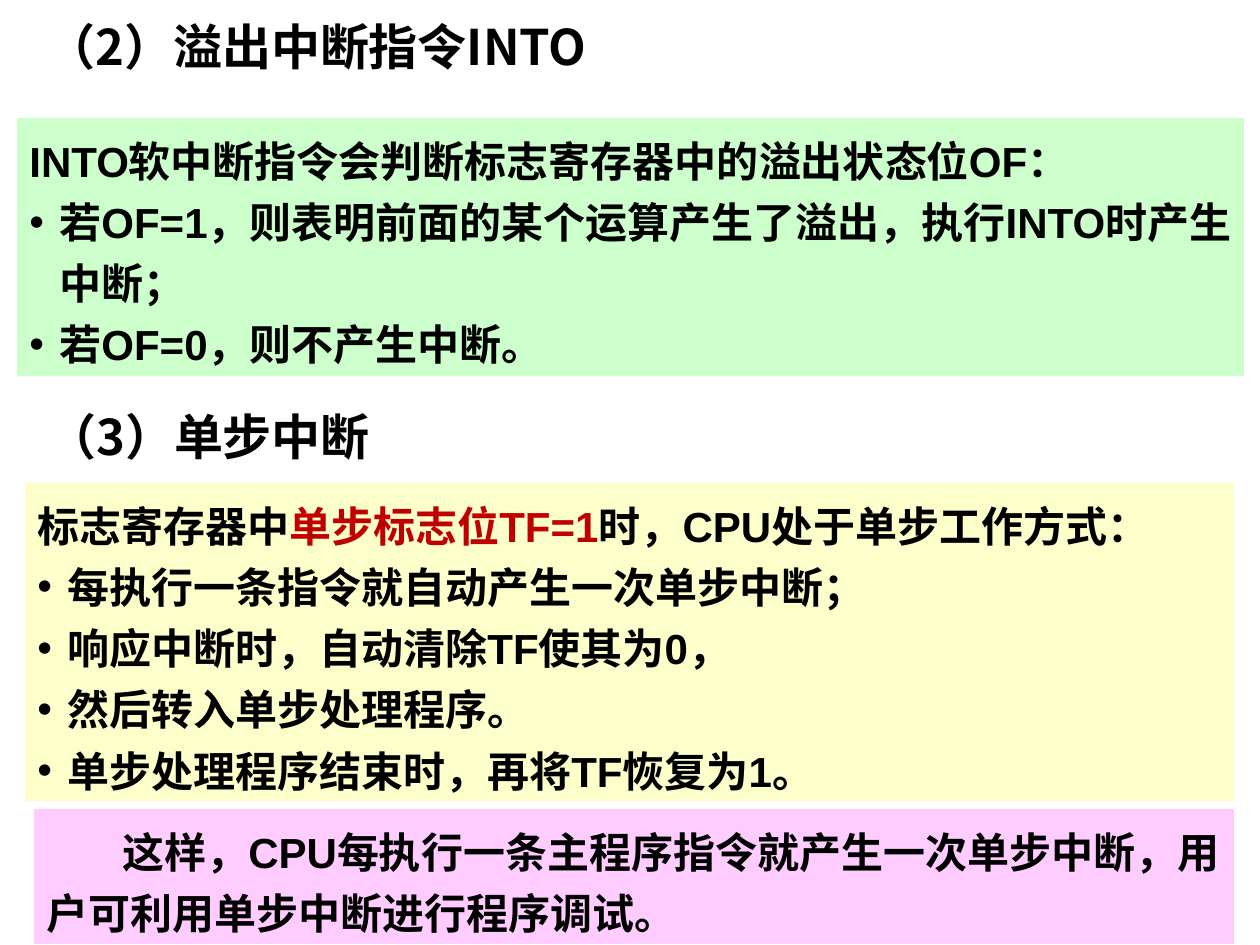
from lxml import etree
from pptx import Presentation
from pptx.dml.color import RGBColor
from pptx.enum.shapes import MSO_SHAPE
from pptx.enum.text import MSO_ANCHOR, MSO_AUTO_SIZE, PP_ALIGN
from pptx.oxml.ns import qn
from pptx.util import Emu, Pt

RECTANGLE = MSO_SHAPE.RECTANGLE
TOP = MSO_ANCHOR.TOP
NO_AUTOFIT = MSO_AUTO_SIZE.NONE
LEFT = PP_ALIGN.LEFT

EMU_PER_PX = 914400 / 126
COLORS = {
    "text": "000000",
    "accent": "C00000",
    "green": "CCFFCC",
    "yellow": "FDFFCB",
    "pink": "FFCCFF",
}
CJK_FONT = "Noto Sans CJK SC"
BODY_FONT = "Arial"
BULLET_INDENT = 30
FIRST_LINE_INDENT = 76


def px(length):
    return Emu(round(length * EMU_PER_PX))


def rgb(name):
    return RGBColor.from_string(COLORS[name])


class SlideBuilder:
    """Holds the text style and the slide being filled."""

    heading_size = Pt(28)
    body_size = Pt(24)
    line_pitch = Pt(35)

    def __init__(self, slide):
        self.slide = slide

    def prepare(self, box, wrap):
        frame = box.text_frame
        frame.word_wrap = wrap
        frame.auto_size = NO_AUTOFIT
        frame.vertical_anchor = TOP
        return frame

    def add_span(self, para, text, size, font, color="text"):
        span = para.add_run()
        span.text = text
        span.font.size = size
        span.font.bold = True
        span.font.name = font
        span.font.color.rgb = rgb(color)
        east_asian = etree.SubElement(span.font._element, qn("a:ea"))
        east_asian.set("typeface", CJK_FONT)

    def indent(self, para, margin, first_line):
        properties = para._p.get_or_add_pPr()
        properties.set("marL", str(px(margin)))
        properties.set("indent", str(px(first_line)))
        return properties

    def add_bullet(self, para):
        properties = self.indent(para, BULLET_INDENT, -BULLET_INDENT)
        etree.SubElement(properties, qn("a:buFont")).set("typeface", BODY_FONT)
        etree.SubElement(properties, qn("a:buChar")).set("char", "•")

    def write_heading(self, box, text):
        para = self.prepare(box, wrap=False).paragraphs[0]
        para.alignment = LEFT
        self.add_span(para, text, self.heading_size, CJK_FONT)

    def title(self, text, left, top, width, height):
        box = self.slide.shapes.title
        box.left, box.top, box.width, box.height = map(px, (left, top, width, height))
        self.write_heading(box, text)

    def heading(self, text, left, top, width, height):
        box = self.slide.shapes.add_textbox(*map(px, (left, top, width, height)))
        self.write_heading(box, text)

    def panel(self, fill, left, top, width, height, intro, bullets=(), first_line=0):
        """Coloured panel: intro is a list of (text, colour) spans."""
        box = self.slide.shapes.add_shape(
            RECTANGLE, *map(px, (left, top, width, height)))
        box.shadow.inherit = False
        box.fill.solid()
        box.fill.fore_color.rgb = rgb(fill)
        box.line.fill.background()
        frame = self.prepare(box, wrap=True)
        lines = [intro] + [[(text, "text")] for text in bullets]
        for number, spans in enumerate(lines):
            para = frame.add_paragraph() if number else frame.paragraphs[0]
            if number:
                self.add_bullet(para)
            elif first_line:
                self.indent(para, 0, first_line)
            para.alignment = LEFT
            para.line_spacing = self.line_pitch
            for text, color in spans:
                self.add_span(para, text, self.body_size, BODY_FONT, color)


def main():
    deck = Presentation()
    deck.slide_width, deck.slide_height = px(1260), px(945)
    page = SlideBuilder(deck.slides.add_slide(deck.slide_layouts[5]))

    # Overflow interrupt
    page.title("（2）溢出中断指令INTO", 34, 10, 674, 72)
    page.panel(
        "green", 17, 118, 1227, 258,
        [("INTO软中断指令会判断标志寄存器中的溢出状态位OF：", "text")],
        ["若OF=1，则表明前面的某个运算产生了溢出，执行INTO时产生中断；",
         "若OF=0，则不产生中断。"])

    # Single-step interrupt
    page.heading("（3）单步中断", 35, 400, 530, 72)
    page.panel(
        "pink", 34, 809, 1200, 135,
        [("这样，CPU每执行一条主程序指令就产生一次单步中断，"
          "用户可利用单步中断进行程序调试。", "text")],
        first_line=FIRST_LINE_INDENT)
    page.panel(
        "yellow", 25, 483, 1209, 318,
        [("标志寄存器中", "text"), ("单步标志位TF=1", "accent"),
         ("时，CPU处于单步工作方式：", "text")],
        ["每执行一条指令就自动产生一次单步中断；",
         "响应中断时，自动清除TF使其为0，",
         "然后转入单步处理程序。",
         "单步处理程序结束时，再将TF恢复为1。"])

    deck.save("out.pptx")


if __name__ == "__main__":
    main()
